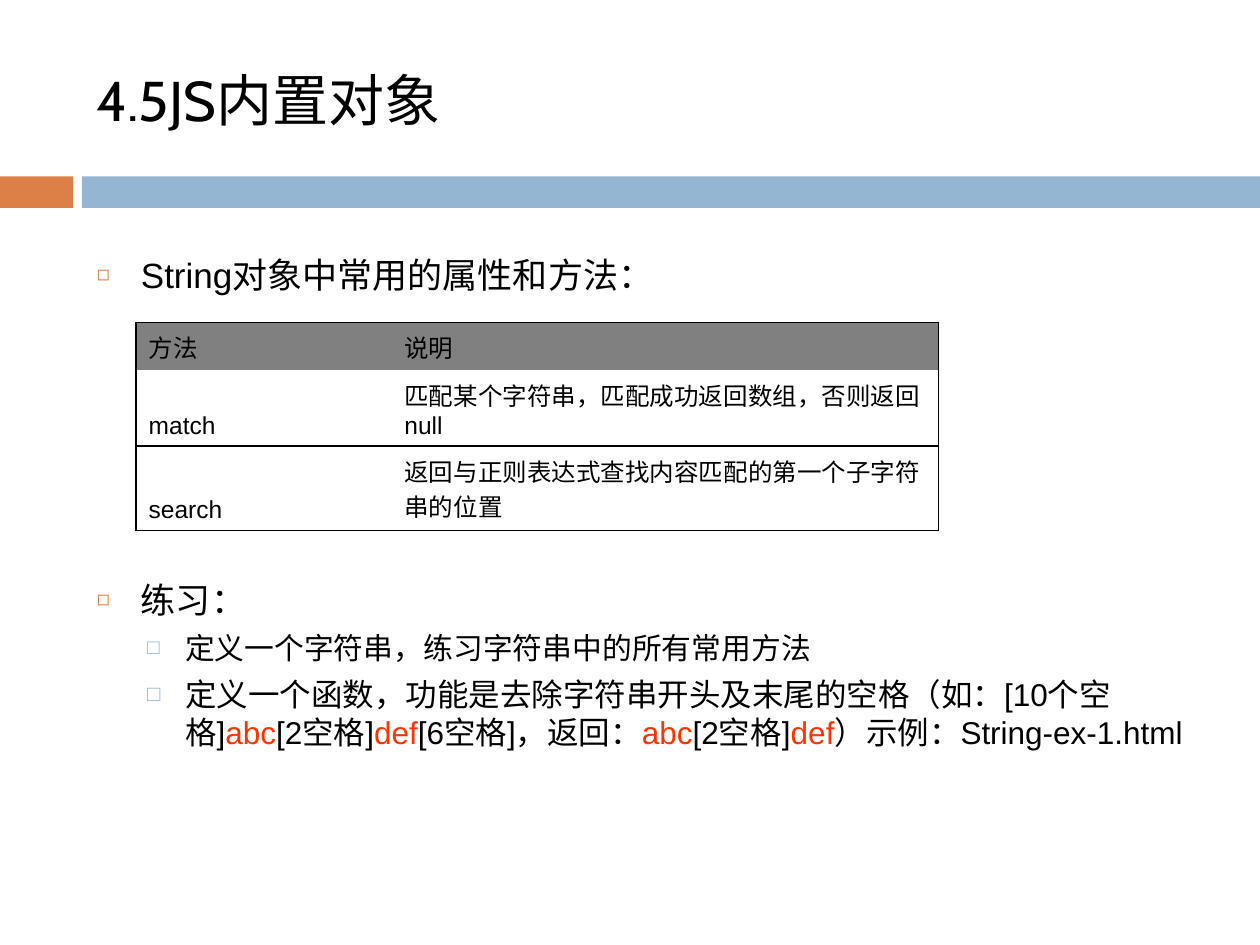
from lxml.etree import SubElement
from pptx import Presentation
from pptx.dml.color import RGBColor
from pptx.enum.shapes import MSO_SHAPE as SHAPE
from pptx.enum.text import MSO_ANCHOR as ANCHOR
from pptx.oxml.ns import qn
from pptx.util import Inches, Pt

BLACK, RED, ORANGE, BLUE, GREY = "000000", "FF3300", "DD8047", "94B6D2", "808080"

# Content: a paragraph is (level, size, [(text, colour), ...])
TITLE = "4.5JS内置对象"
METHODS_HEADING = [(0, 20, [("String对象中常用的属性和方法：", BLACK)])]
EXERCISES = [
    (0, 20, [("练习：", BLACK)]),
    (1, 17, [("定义一个字符串，练习字符串中的所有常用方法", BLACK)]),
    (1, 18, [
        ("定义一个函数，功能是去除字符串开头及末尾的空格（如：[10个空格]", BLACK),
        ("abc", RED), ("[2空格]", BLACK), ("def", RED),
        ("[6空格]，返回：", BLACK),
        ("abc", RED), ("[2空格]", BLACK), ("def", RED),
        ("）示例：String-ex-1.html", BLACK),
    ]),
]
METHODS = [
    ("方法", "说明"),
    ("match", "匹配某个字符串，匹配成功返回数组，否则返回null"),
    ("search", "返回与正则表达式查找内容匹配的第一个子字符串的位置"),
]

# Format values
BANDS = [(0, 0.58, ORANGE), (0.65, 9.35, BLUE)]
LEVELS = [
    {"indent": 0.35, "hang": 0.35, "before": 7, "char": "◻", "color": ORANGE, "percent": 60},
    {"indent": 0.7, "hang": 0.3, "before": 5.5, "char": "□", "color": BLUE, "percent": 70},
]
COLUMN_WIDTHS = [2.03, 4.34]
ROW_HEIGHTS = [0.38, 0.6, 0.67]
TEXT_LEFT, TEXT_WIDTH = 0.67, 8.92


def rgb(hex_color):
    return RGBColor.from_string(hex_color)


def add_run(paragraph, text, size, color=BLACK, font="Arial"):
    run = paragraph.add_run()
    run.text = text
    for name, value in {"size": Pt(size), "name": font, "bold": False}.items():
        setattr(run.font, name, value)
    run.font.color.rgb = rgb(color)


def add_frame(slide, top, height, anchor=ANCHOR.TOP):
    box = slide.shapes.add_textbox(
        Inches(TEXT_LEFT), Inches(top), Inches(TEXT_WIDTH), Inches(height))
    box.text_frame.word_wrap = True
    box.text_frame.vertical_anchor = anchor
    return box.text_frame


def set_bullet(paragraph, level):
    props = paragraph._p.get_or_add_pPr()
    props.set("marL", str(Inches(level["indent"])))
    props.set("indent", str(-Inches(level["hang"])))
    color = SubElement(props, qn("a:buClr"))
    SubElement(color, qn("a:srgbClr"), val=level["color"])
    SubElement(props, qn("a:buSzPct"), val=str(level["percent"] * 1000))
    SubElement(props, qn("a:buFont"), typeface="Arial")
    SubElement(props, qn("a:buChar"), char=level["char"])


def add_bullets(slide, top, height, items):
    frame = add_frame(slide, top, height)
    for i, (depth, size, runs) in enumerate(items):
        paragraph = frame.add_paragraph() if i else frame.paragraphs[0]
        paragraph.level = depth
        set_bullet(paragraph, LEVELS[depth])
        paragraph.space_before = Pt(LEVELS[depth]["before"] if i else 0)
        for text, color in runs:
            add_run(paragraph, text, size, color)


def set_borders(cell, visible):
    props = cell._tc.get_or_add_tcPr()
    for side in "LRTB":
        line = SubElement(props, qn(f"a:ln{side}"), w=str(Pt(1)))
        if side in visible:
            fill = SubElement(line, qn("a:solidFill"))
            SubElement(fill, qn("a:srgbClr"), val=BLACK)
        else:
            SubElement(line, qn("a:noFill"))


def add_methods_table(slide):
    table = slide.shapes.add_table(
        len(METHODS), len(COLUMN_WIDTHS), Inches(1.08), Inches(2.56),
        Inches(sum(COLUMN_WIDTHS)), Inches(sum(ROW_HEIGHTS))).table
    table.first_row = table.horz_banding = False
    for column, width in zip(table.columns, COLUMN_WIDTHS):
        column.width = Inches(width)
    for r, (row, height) in enumerate(zip(METHODS, ROW_HEIGHTS)):
        table.rows[r].height = Inches(height)
        for c, text in enumerate(row):
            cell = table.cell(r, c)
            cell.vertical_anchor = ANCHOR.BOTTOM
            # Outer frame, plus a rule between the two methods
            set_borders(cell, "LR"[c] + ("T", "B", "TB")[r])
            if r == 0:
                cell.fill.solid()
                cell.fill.fore_color.rgb = rgb(GREY)
            else:
                cell.fill.background()
            font = "Cabin" if (r, c) == (2, 1) else "Arial"
            add_run(cell.text_frame.paragraphs[0], text, 14, font=font)


def main():
    deck = Presentation()
    deck.slide_width, deck.slide_height = Inches(10), Inches(7.5)
    slide = deck.slides.add_slide(deck.slide_layouts[6])

    # Colour bands under the title
    for left, width, color in BANDS:
        band = slide.shapes.add_shape(
            SHAPE.RECTANGLE, Inches(left), Inches(1.4), Inches(width), Inches(0.25))
        band.shadow.inherit = False
        band.fill.solid()
        band.fill.fore_color.rgb = rgb(color)
        band.line.fill.background()

    # Title
    title = add_frame(slide, 0.25, 1.08, ANCHOR.MIDDLE)
    add_run(title.paragraphs[0], TITLE, 32, font="Cabin")

    # Methods and exercises
    add_bullets(slide, 1.96, 0.5, METHODS_HEADING)
    add_bullets(slide, 4.54, 2.73, EXERCISES)
    add_methods_table(slide)

    deck.save("out.pptx")


if __name__ == "__main__":
    main()
